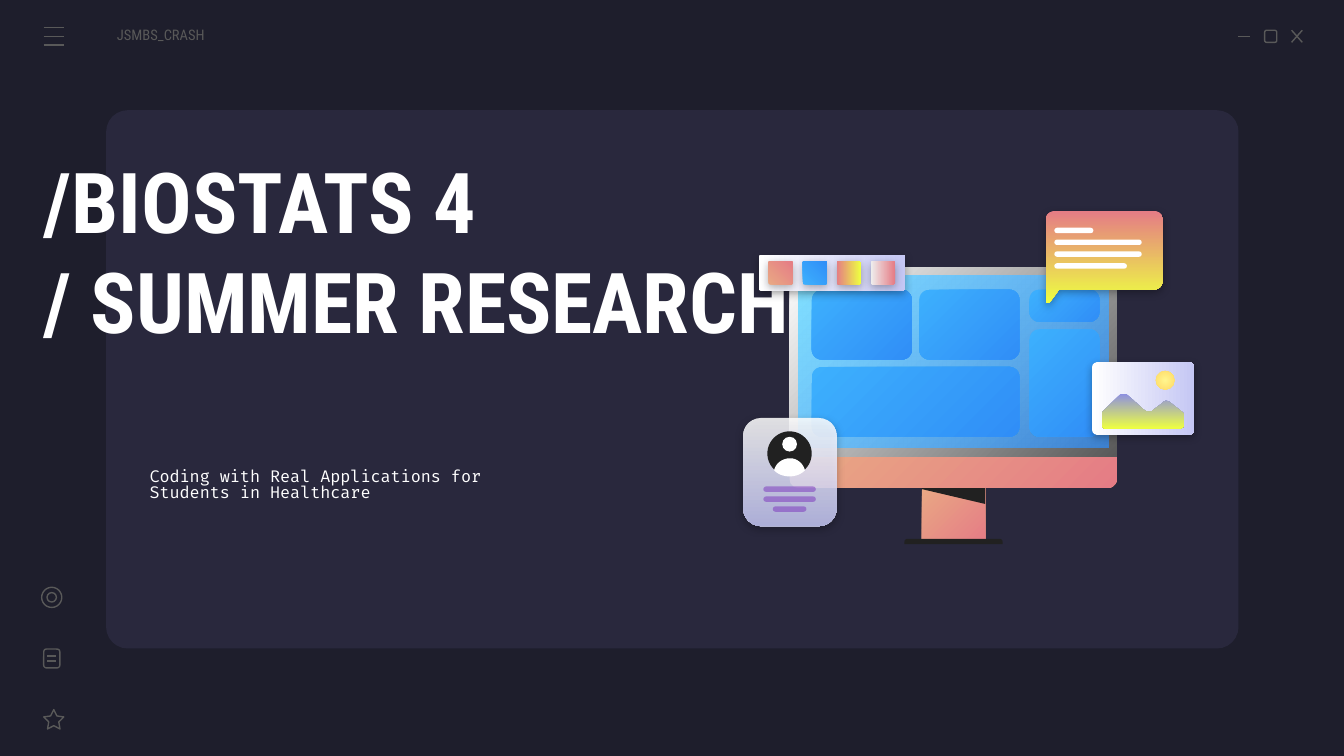
from lxml import etree
from pptx import Presentation
from pptx.dml.color import RGBColor
from pptx.enum.shapes import MSO_CONNECTOR, MSO_SHAPE
from pptx.enum.text import MSO_ANCHOR, MSO_AUTO_SIZE, PP_ALIGN
from pptx.oxml.ns import qn
from pptx.util import Inches, Pt

RECT, ROUND = MSO_SHAPE.RECTANGLE, MSO_SHAPE.ROUNDED_RECTANGLE
ROUND_ENDS = MSO_SHAPE.ROUND_2_SAME_RECTANGLE
OVAL, STAR = MSO_SHAPE.OVAL, MSO_SHAPE.STAR_5_POINT
STRAIGHT, MIDDLE, LEFT = MSO_CONNECTOR.STRAIGHT, MSO_ANCHOR.MIDDLE, PP_ALIGN.LEFT
NO_AUTOFIT = MSO_AUTO_SIZE.NONE


class Theme:
    page, card, grey = "1E1E2C", "29283D", "595959"
    white, black, purple = "FFFFFF", "212121", "7E3BBE"
    coral = ("E9A984", "E57C85")
    sunset = ("E57C85", "EEFF41")
    blush = ("EEEEEE", "E57C85")
    metal = ("FFFFFF", "595959")
    screen = ("80DFFF", "318FFA")
    blue = ("3DB0FD", "308EF7")
    lilac = ("FFFFFF", "C5C7F4")
    hills = ("8D90E1", "EEFF41")
    sun = ("FFF68E", "FFD966")
    heading, code = "Roboto Condensed", "Fira Code"
    title_size, body_size, label_size, hairline = 45, 8.8, 7.8, 0.75


deck = Presentation()
deck.slide_width = Inches(10)
deck.slide_height = deck.slide_width * 9 // 16
CELL = deck.slide_width / 1000  # square grid, 1000 columns wide
slide = deck.slides.add_slide(deck.slide_layouts[5])
slide.background.fill.solid()
slide.background.fill.fore_color.rgb = RGBColor.from_string(Theme.page)


def draw(kind, box, fill=None, angle=45, corners=(), opacity=(), shadow=False, turn=0):
    """Draw a preset in a box of cells, or, when kind is None, an outline.

    An outline is a list of points; six numbers stand for a Bezier curve.
    A pair of fill colours makes a gradient; no fill leaves a grey outline.
    """
    if kind is None:
        points = []
        for step in box:
            if len(step) == 2:
                points.append(step)
                continue
            (x0, y0), (x1, y1, x2, y2, x3, y3) = points[-1], step
            for t in (n / 8 for n in range(1, 9)):
                a, b, c, d = (1 - t) ** 3, 3 * t * (1 - t) ** 2, 3 * t * t * (1 - t), t ** 3
                points.append((a * x0 + b * x1 + c * x2 + d * x3,
                               a * y0 + b * y1 + c * y2 + d * y3))
        points = [(x * CELL, y * CELL) for x, y in points]
        builder = slide.shapes.build_freeform(*points[0])
        builder.add_line_segments(points[1:], close=True)
        shape = builder.convert_to_shape()
    else:
        shape = slide.shapes.add_shape(kind, *(round(n * CELL) for n in box))
    for index, value in enumerate(corners):
        shape.adjustments[index] = value
    shape.rotation = turn
    if fill is None:
        shape.fill.background()
        shape.line.color.rgb = RGBColor.from_string(Theme.grey)
        shape.line.width = Pt(Theme.hairline)
    elif isinstance(fill, tuple):
        shape.fill.gradient()
        shape.fill.gradient_angle = -angle % 360
        for stop, color in zip(shape.fill.gradient_stops, fill):
            stop.color.rgb = RGBColor.from_string(color)
    else:
        shape.fill.solid()
        shape.fill.fore_color.rgb = RGBColor.from_string(fill)
    for color, percent in zip(shape.element.spPr.iter(qn("a:srgbClr")), opacity):
        etree.SubElement(color, qn("a:alpha"), val=str(percent * 1000))
    if fill is not None:
        shape.line.fill.background()
    shape.shadow.inherit = False
    if shadow:
        effects = shape.element.spPr.find(qn("a:effectLst"))
        outer = etree.SubElement(effects, qn("a:outerShdw"), blurRad=str(Pt(4.5)), dist=str(Pt(1.5)),
                                 dir="5400000", algn="bl", rotWithShape="0")
        color = etree.SubElement(outer, qn("a:srgbClr"), val="000000")
        etree.SubElement(color, qn("a:alpha"), val="30000")
    return shape


def write(box, lines, at, size, font, color=Theme.white, bold=False, spacing=1.0, inset=10):
    box.left, box.top, box.width, box.height = (round(n * CELL) for n in at)
    frame = box.text_frame
    frame.word_wrap, frame.auto_size, frame.vertical_anchor = True, NO_AUTOFIT, MIDDLE
    frame.margin_left = round(inset * CELL)
    frame.margin_right = frame.margin_top = frame.margin_bottom = round(10 * CELL)
    for index, line in enumerate(lines):
        para = frame.add_paragraph() if index else frame.paragraphs[0]
        para.alignment, para.line_spacing = LEFT, spacing
        para.space_before = para.space_after = Pt(0)
        span = para.add_run()
        span.text = line
        span.font.name, span.font.size, span.font.bold = font, Pt(size), bold
        span.font.color.rgb = RGBColor.from_string(color)


# Card and text
title = slide.shapes.title
card = draw(ROUND, (79, 82, 842.5, 400.5), Theme.card, corners=[0.04])
title.element.addprevious(card.element)
write(title, ["/BIOSTATS 4", "/ SUMMER RESEARCH"], (22.5, 98, 578, 176),
      Theme.title_size, Theme.heading, bold=True)
write(slide.shapes.add_textbox(0, 0, 0, 0),
      ["Coding with Real Applications for Students in Healthcare"],
      (101.5, 338.5, 324, 46), Theme.body_size, Theme.code, spacing=0.8)
write(slide.shapes.add_textbox(0, 0, 0, 0), ["JSMBS_CRASH"], (87, 12, 117, 30),
      Theme.label_size, Theme.heading, color=Theme.grey, spacing=0.8, inset=0)

# Monitor
draw(RECT, (686, 361, 47, 43), Theme.coral)
draw(ROUND_ENDS, (673, 401, 73, 4), Theme.black, corners=[0.5, 0])
draw(None, [(686, 361), (686, 364), (733, 375), (733, 361)], Theme.black)
draw(ROUND_ENDS, (587.5, 339, 243.5, 24), Theme.coral, corners=[0, 0.27])
draw(ROUND_ENDS, (587.5, 199, 243.5, 141), Theme.metal, corners=[0.04, 0])
draw(RECT, (594, 205, 231, 128), Theme.screen, opacity=(100, 72))
for left, top, width, height in [(604, 215.5, 74.5, 52), (604, 273, 154.5, 52),
                                 (684, 215.5, 74.5, 52), (766, 215.5, 52, 24), (766, 245, 52, 80)]:
    draw(ROUND, (left, top, width, height), Theme.blue, corners=[7.5 / min(width, height)])

# Speech bubble
draw(None, [(785, 157), (781, 157, 778, 160, 778, 164), (778, 224),
            (778, 225, 779, 225.5, 780, 225.5), (780, 225.5, 781, 225, 781, 225),
            (788, 215.5), (859, 215.5), (862, 215.5, 865.5, 212, 865.5, 209), (865.5, 164),
            (865.5, 160, 862, 157, 859, 157)], Theme.sunset, angle=90, shadow=True)
for row, width in enumerate([29, 65, 65, 54]):
    draw(ROUND, (784.5, 169.5 + 8.8 * row, width, 4), Theme.white, corners=[0.5])

# Profile badge
draw(ROUND, (553, 311, 69.5, 80.5), Theme.lilac, angle=90, corners=[0.19], opacity=(86, 86),
     shadow=True)
draw(OVAL, (571, 321, 33, 33), Theme.black)
draw(OVAL, (582, 325, 11, 11), Theme.white)
draw(None, [(576, 350), (577, 345, 582, 341, 588, 341), (593, 341, 598, 345, 599, 350),
            (596, 353, 592, 354.5, 587.5, 354.5), (583, 354.5, 579, 353, 576, 350)], Theme.white)
for row, width in enumerate([39, 39, 25]):
    draw(ROUND, (587.5 - width / 2, 362 + 7.4 * row, width, 4), Theme.purple,
         corners=[0.5], opacity=[54])

# Landscape photo
draw(ROUND, (823.5, 258.5, 54, 76), Theme.lilac, angle=90, corners=[0.07], shadow=True, turn=270)
draw(None, [(836, 293), (835, 293, 834, 293, 833, 294), (821, 306), (820, 307, 820, 307, 820, 308),
            (820, 316), (820, 318, 821, 319, 823, 319), (877, 319), (879, 319, 881, 318, 881, 316),
            (881, 309), (881, 308, 880, 307, 880, 307), (870, 299), (868, 298, 866, 298, 865, 300),
            (857, 306), (855, 306.5, 853, 306.5, 851, 305), (839, 294),
            (838, 293, 837, 293, 836, 293)], Theme.hills, angle=90)
sun = draw(OVAL, (860, 276, 14, 14), Theme.sun)
linear = next(sun.element.iter(qn("a:lin")))
radial = etree.SubElement(linear.getparent(), qn("a:path"), {"path": "circle"})
etree.SubElement(radial, qn("a:fillToRect"), dict.fromkeys("ltrb", "50000"))
linear.getparent().remove(linear)

# Colour palette
draw(ROUND, (605.5, 148.5, 27, 109), Theme.lilac, angle=90, corners=[0.07], shadow=True, turn=270)
for column, (fill, angle) in enumerate([(Theme.coral, 45), (Theme.blue, 45),
                                        (Theme.sunset, 90), (Theme.blush, 90)]):
    draw(ROUND, (572 + 25.4 * column, 194, 17.5, 18), fill, angle=angle, corners=[0.07],
         shadow=True, turn=270)

# Window and sidebar icons
draw(ROUND, (941, 22.5, 9, 9), corners=[0.17])
draw(STAR, (32.5, 528, 15, 14.5), corners=[0.25])
draw(ROUND, (32.5, 483, 12, 14), corners=[0.17])
draw(OVAL, (31, 437, 15, 15))
draw(OVAL, (35, 441, 7, 7))
menu_lines = [(32.5, row, 47.5, row) for row in (20.5, 27, 33.5)]
note_lines = [(35, row, 42, row) for row in (488, 492)]
window_lines = [(921, 27, 930, 27), (961, 22.5, 969, 31.5), (969, 22.5, 961, 31.5)]
for ends in menu_lines + note_lines + window_lines:
    line = slide.shapes.add_connector(STRAIGHT, *(round(n * CELL) for n in ends))
    line.line.color.rgb = RGBColor.from_string(Theme.grey)
    line.line.width = Pt(Theme.hairline)
    etree.SubElement(line.element.spPr, qn("a:effectLst"))

deck.save("out.pptx")
